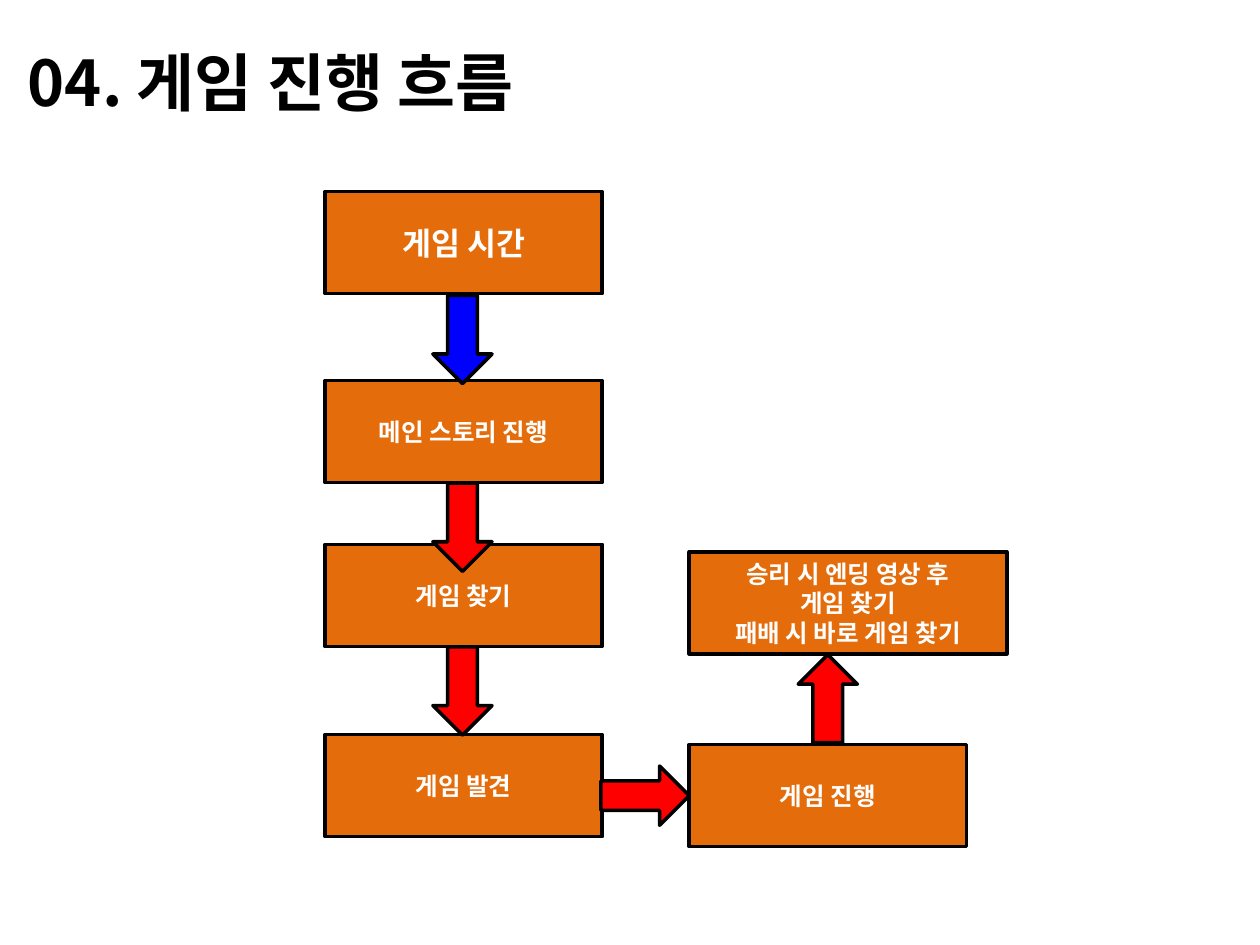
from lxml import etree
from pptx import Presentation
from pptx.dml.color import RGBColor
from pptx.enum import shapes, text
from pptx.oxml import ns
from pptx.util import Inches, Pt

COLORS = {
    "box": "E46C0A",
    "start": "0000FF",
    "next": "FF0000",
    "line": "000000",
    "title": "000000",
    "label": "FFFFFF",
}
FONT = "Noto Sans CJK KR"


def format_text(text_frame, size, color, alignment):
    for paragraph in text_frame.paragraphs:
        paragraph.alignment = alignment
        for run in paragraph.runs:
            run.font.name = FONT
            run.font.size = Pt(size)
            run.font.bold = True
            run.font.color.rgb = RGBColor.from_string(COLORS[color])
            # Korean letters take the East Asian typeface
            east_asian = etree.SubElement(run.font._element, ns.qn("a:ea"))
            east_asian.set("typeface", FONT)


def add_block(kind, left, top, width, height, fill):
    shape = slide.shapes.add_shape(
        kind, Inches(left), Inches(top), Inches(width), Inches(height))
    shape.shadow.inherit = False
    shape.fill.solid()
    shape.fill.fore_color.rgb = RGBColor.from_string(COLORS[fill])
    shape.line.color.rgb = RGBColor.from_string(COLORS["line"])
    shape.line.width = Pt(2)
    return shape


presentation = Presentation()
presentation.slide_width = Inches(10)
presentation.slide_height = Inches(7.5)
slide = presentation.slides.add_slide(presentation.slide_layouts[5])

# Title
title = slide.shapes.title
title.left, title.top = Inches(0.12), Inches(0.29)
title.width, title.height = Inches(4.48), Inches(0.71)
title.text_frame.text = "04. 게임 진행 흐름"
title.text_frame.word_wrap = False
title.text_frame.auto_size = text.MSO_AUTO_SIZE.NONE
title.text_frame.vertical_anchor = text.MSO_ANCHOR.MIDDLE
format_text(title.text_frame, 36, "title", text.PP_ALIGN.LEFT)

# Steps: label, left, top, width, text size
LEFT_COLUMN, RIGHT_COLUMN = 2.58, 5.47
STEP_WIDTH, STEP_HEIGHT = 2.2, 0.81
steps = [
    ("게임 시간", LEFT_COLUMN, 1.52, STEP_WIDTH, 18),
    ("메인 스토리 진행", LEFT_COLUMN, 3.02, STEP_WIDTH, 14),
    ("게임 찾기", LEFT_COLUMN, 4.32, STEP_WIDTH, 14),
    ("게임 발견", LEFT_COLUMN, 5.83, STEP_WIDTH, 14),
    ("게임 진행", RIGHT_COLUMN, 5.91, STEP_WIDTH, 14),
    ("승리 시 엔딩 영상 후\n게임 찾기\n패배 시 바로 게임 찾기",
     RIGHT_COLUMN, 4.38, 2.52, 14),
]
for label, left, top, width, size in steps:
    step = add_block(shapes.MSO_SHAPE.FLOWCHART_PROCESS,
                     left, top, width, STEP_HEIGHT, "box")
    step.text_frame.text = label
    step.text_frame.word_wrap = True
    step.text_frame.vertical_anchor = text.MSO_ANCHOR.MIDDLE
    format_text(step.text_frame, size, "label", text.PP_ALIGN.CENTER)

# Block arrows: left, top, rotation, fill
arrows = [
    (3.32, 2.46, 90, "start"),
    (3.32, 3.95, 90, "next"),
    (3.32, 5.25, 90, "next"),
    (4.77, 6.08, 0, "next"),
    (6.22, 5.31, 270, "next"),
]
for left, top, rotation, fill in arrows:
    arrow = add_block(shapes.MSO_SHAPE.RIGHT_ARROW, left, top, 0.7, 0.47, fill)
    arrow.rotation = rotation

presentation.save("out.pptx")
